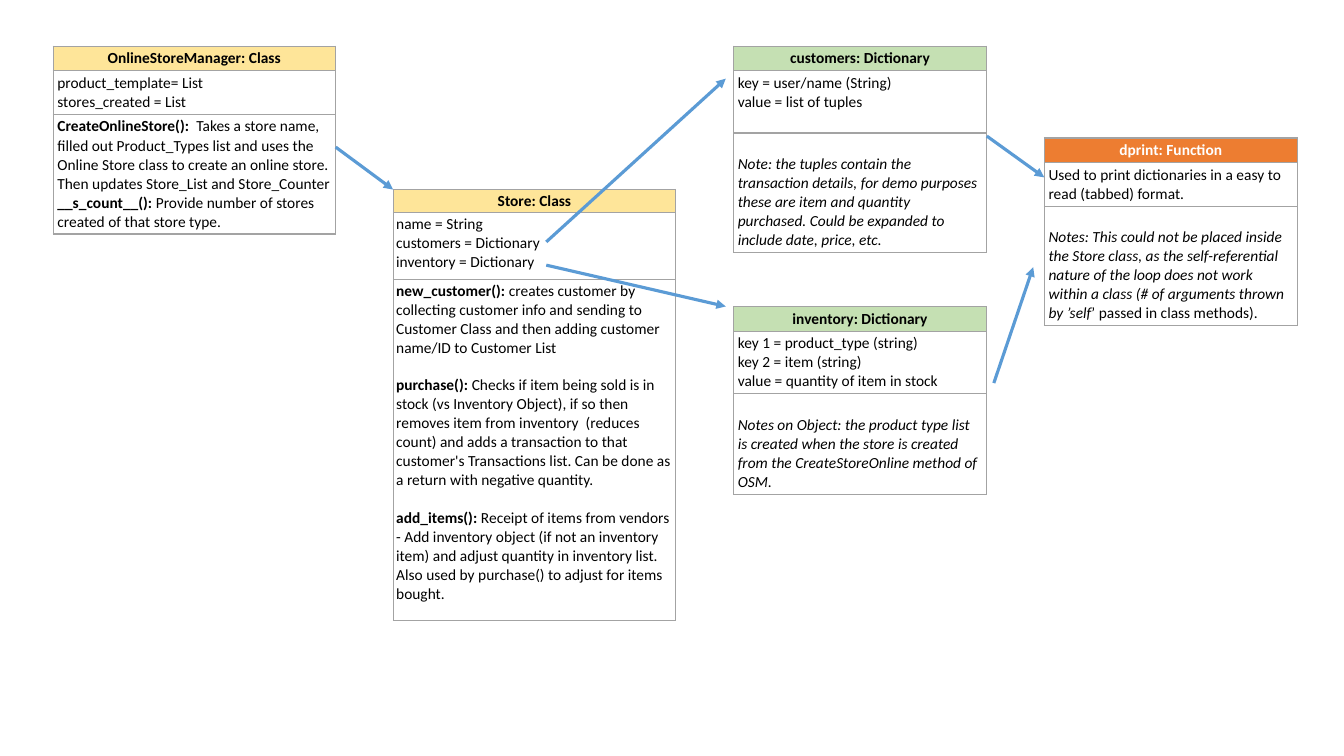
import pptx
import pptx.dml.color
import pptx.enum.shapes
import pptx.enum.text
import pptx.oxml
import pptx.oxml.ns
import pptx.util
from pptx.util import Pt

YELLOW, GREEN, ORANGE = "FEE599", "C5E0B3", "ED7D31"
BLACK, WHITE, BORDER, ARROW = "000000", "FFFFFF", "A3A3A3", "5B9BD5"
LINE_HEIGHT = 13.4
ROOMY, TIGHT = (3, 2), (2, 1.5)
PLAIN, BOLD, ITALIC = {}, {"bold": True}, {"italic": True}

# Each cell is a list of paragraphs, each paragraph a list of (text, format).
MANAGER = [
    [[("product_template= List", PLAIN)], [("stores_created = List", PLAIN)]],
    [[("CreateOnlineStore():", BOLD),
      ("  Takes a store name, filled out Product_Types list and uses the Online Store class "
       "to create an online store. Then updates Store_List and Store_Counter", PLAIN)],
     [("__s_count__():", BOLD),
      (" Provide number of stores created of that store type.", PLAIN)]],
]
STORE = [
    [[("name = String", PLAIN)], [("customers = Dictionary", PLAIN)],
     [("inventory = Dictionary", PLAIN)]],
    [[("new_customer(): ", BOLD),
      ("creates customer by collecting customer info and sending to Customer Class and then "
       "adding customer name/ID to Customer List", PLAIN)],
     [("purchase(): ", BOLD),
      ("Checks if item being sold is in stock (vs Inventory Object), if so then removes item "
       "from inventory  (reduces count) and adds a transaction to that customer's Transactions "
       "list. Can be done as a return with negative quantity.", PLAIN)],
     [("add_items(): ", BOLD),
      ("Receipt of items from vendors - Add inventory object (if not an inventory item) and "
       "adjust quantity in inventory list. Also used by purchase() to adjust for items bought.",
       PLAIN)]],
]
CUSTOMERS = [
    [[("key = user/name (String)", PLAIN)], [("value = list of tuples", PLAIN)]],
    [[("Note: the tuples contain the transaction details, for demo purposes these are item and "
       "quantity purchased. Could be expanded to include date, price, etc.", ITALIC)]],
]
INVENTORY = [
    [[("key 1 = product_type (string)", PLAIN)], [("key 2 = item (string)", PLAIN)],
     [("value = quantity of item in stock", PLAIN)]],
    [[("Notes on Object: the product type list is created when the store is created from the "
       "CreateStoreOnline method of OSM.", ITALIC)]],
]
DPRINT = [
    [[("Used to print dictionaries in a easy to read (tabbed) format.", PLAIN)]],
    [[("Notes: This could not be placed inside the Store class, as the self-referential nature "
       "of the loop does not work within a class (# of arguments thrown by ’self", ITALIC),
      ("’ passed in class methods).", PLAIN)]],
]


def rgb(hex_color):
    return pptx.dml.color.RGBColor.from_string(hex_color)


def set_format(target, values):
    for name, value in values.items():
        setattr(target, name, value)


def add_borders(cell):
    properties = cell._tc.get_or_add_tcPr()
    for side in ("lnL", "lnR", "lnT", "lnB"):
        properties.append(pptx.oxml.parse_xml(
            f'<a:{side} {pptx.oxml.ns.nsdecls("a")} w="{Pt(1)}"><a:solidFill>'
            f'<a:srgbClr val="{BORDER}"/></a:solidFill></a:{side}>'))


def fill_cell(cell, paragraphs, margins, color=BLACK, align=None, gap=0, top_gap=0):
    """Write formatted paragraphs; gap separates them, top_gap precedes the first."""
    across, down = margins
    set_format(cell, {"margin_left": Pt(across), "margin_right": Pt(across),
                      "margin_top": Pt(down + top_gap), "margin_bottom": Pt(down)})
    add_borders(cell)
    cell.fill.background()
    for index, spans in enumerate(paragraphs):
        para = cell.text_frame.add_paragraph() if index else cell.text_frame.paragraphs[0]
        set_format(para, {"alignment": align, "space_before": Pt(gap if index else 0)})
        for text, style in spans:
            span = para.add_run()
            span.text = text
            set_format(span.font, {"name": "Calibri", "size": Pt(11), "bold": False,
                                   "italic": False, **style})
            span.font.color.rgb = rgb(color)


def add_class_box(page, title, sections, place, heights, fill, color=BLACK,
                  margins=ROOMY, gap=0, top_gap=0):
    """Draw a titled box with a fields cell and a details cell."""
    left, top, width = place
    frame = page.shapes.add_table(3, 1, Pt(left), Pt(top), Pt(width), Pt(sum(heights)))
    box = frame.table
    set_format(box, {"first_row": False, "horz_banding": False})
    for row, height in zip(box.rows, heights):
        row.height = Pt(height)
    header, fields, details = (box.cell(index, 0) for index in range(3))
    fill_cell(header, [[(title, BOLD)]], margins, color, pptx.enum.text.PP_ALIGN.CENTER)
    header.fill.solid()
    header.fill.fore_color.rgb = rgb(fill)
    fill_cell(fields, sections[0], margins)
    fill_cell(details, sections[1], margins, gap=gap, top_gap=top_gap)


def add_arrow(page, start, end):
    arrow = page.shapes.add_connector(pptx.enum.shapes.MSO_CONNECTOR.STRAIGHT,
                                      *map(Pt, start + end))
    arrow.line.color.rgb = rgb(ARROW)
    arrow.line.width = Pt(2.25)
    namespace = pptx.oxml.ns.nsdecls("a")
    arrow.line._get_or_add_ln().append(
        pptx.oxml.parse_xml(f'<a:tailEnd {namespace} type="triangle"/>'))
    arrow._element.spPr.append(pptx.oxml.parse_xml(f'<a:effectLst {namespace}/>'))


def main():
    deck = pptx.Presentation()
    set_format(deck, {"slide_width": Pt(960), "slide_height": Pt(540)})
    page = deck.slides.add_slide(deck.slide_layouts[6])

    add_class_box(page, "OnlineStoreManager: Class", MANAGER, (38, 33, 201.6),
                  (17.5, 31, 85), YELLOW)
    add_class_box(page, "Store: Class", STORE, (281, 135.4, 201.6),
                  (16, 47.5, 244), YELLOW, margins=TIGHT, gap=LINE_HEIGHT)
    add_class_box(page, "customers: Dictionary", CUSTOMERS, (524, 33, 180.7),
                  (17.5, 44.5, 85), GREEN, top_gap=LINE_HEIGHT)
    add_class_box(page, "inventory: Dictionary", INVENTORY, (524, 219, 180.7),
                  (17.5, 44.5, 71), GREEN, top_gap=LINE_HEIGHT)
    add_class_box(page, "dprint: Function", DPRINT, (746, 98.6, 180.7),
                  (17.5, 31, 85), ORANGE, WHITE, top_gap=LINE_HEIGHT)

    for start, end in (((239.8, 105.1), (280.8, 135.4)),
                       ((390.2, 172.8), (518.4, 56.2)),
                       ((390.2, 189.4), (518.4, 218.9)),
                       ((704.9, 97.2), (745.9, 126.7)),
                       ((709.9, 273.6), (738, 190.8))):
        add_arrow(page, start, end)
    deck.save("out.pptx")


if __name__ == "__main__":
    main()
